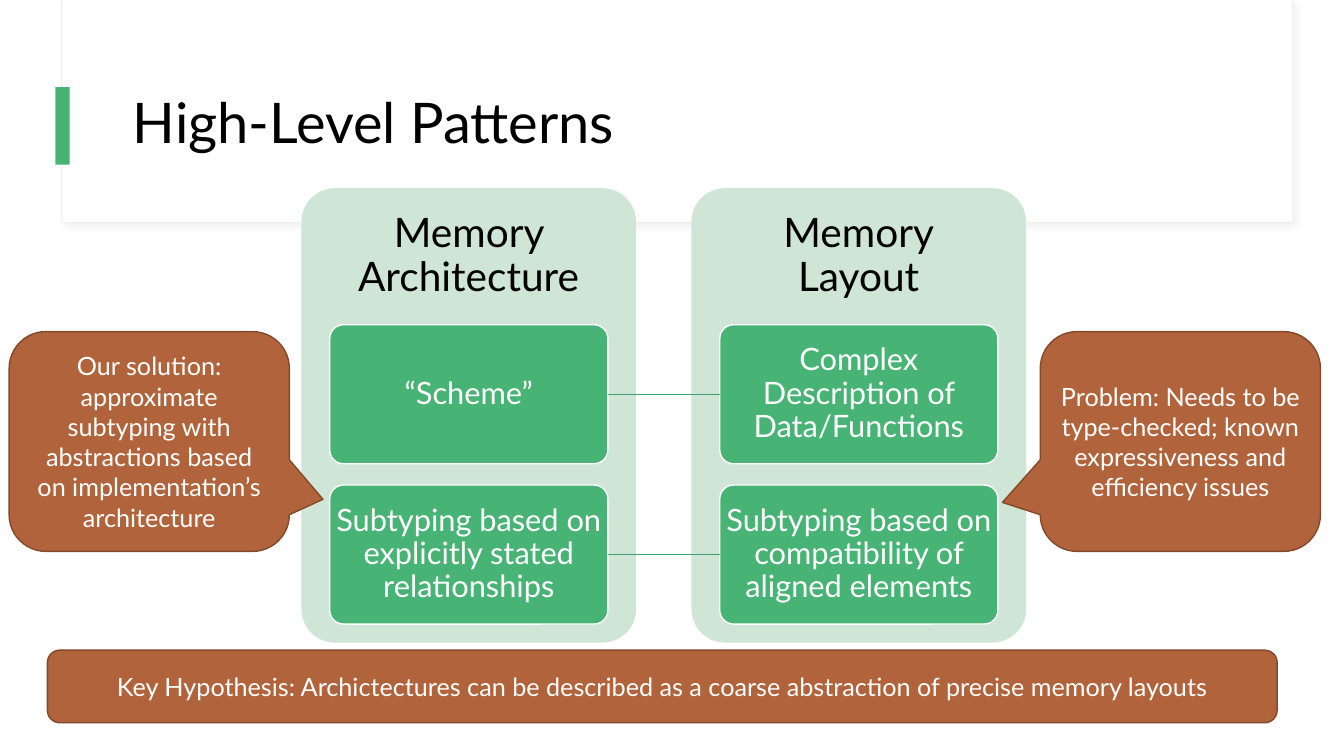
import pptx
import pptx.util
import pptx.dml.color
import pptx.enum.shapes
import pptx.enum.text
import pptx.oxml
import pptx.oxml.ns
from dataclasses import dataclass

SHAPES = pptx.enum.shapes.MSO_SHAPE
ALIGN = pptx.enum.text.PP_ALIGN


@dataclass(frozen=True)
class Theme:
    font: str = "Lato"
    white: str = "FFFFFF"
    ink: str = "000000"
    green: str = "47B475"
    link: str = "40A36A"
    pale: str = "CFE5D6"
    rust: str = "B1633B"
    rust_edge: str = "83492C"
    frame_edge: str = "F0EFE4"
    frame_shadow: str = "D9D9D9"
    title_size: float = 40
    heading_size: float = 29
    card_size: float = 22
    note_size: float = 18


def rgb(value):
    return pptx.dml.color.RGBColor.from_string(value)


class SlideBuilder:
    """Places elements by percentages of the slide's width and height."""

    def __init__(self, deck, theme):
        self.deck, self.theme = deck, theme
        self.slide = deck.slides.add_slide(deck.slide_layouts[6])

    def box(self, left, top, width, height):
        across, down = self.deck.slide_width / 100, self.deck.slide_height / 100
        return [round(v) for v in (left * across, top * down, width * across, height * down)]

    def shape(self, kind, place, fill, edge=None, edge_width=1, adjust=()):
        shape = self.slide.shapes.add_shape(kind, *self.box(*place))
        shape.shadow.inherit = False
        shape.fill.solid()
        shape.fill.fore_color.rgb = rgb(fill)
        if edge:
            shape.line.color.rgb = rgb(edge)
            shape.line.width = pptx.util.Pt(edge_width)
        else:
            shape.line.fill.background()
        for index, value in enumerate(adjust):
            shape.adjustments[index] = value
        return shape

    def label(self, shape, words, size, color, align=ALIGN.CENTER, spacing=1.0, margins=None):
        frame = shape.text_frame
        frame.word_wrap = True
        frame.vertical_anchor = pptx.enum.text.MSO_ANCHOR.MIDDLE
        if margins:
            (frame.margin_left, frame.margin_top, frame.margin_right,
             frame.margin_bottom) = map(pptx.util.Inches, margins)
        frame.text = words
        paragraph = frame.paragraphs[0]
        paragraph.alignment = align
        paragraph.line_spacing = spacing
        paragraph.font.name = self.theme.font
        paragraph.font.size = pptx.util.Pt(size)
        paragraph.font.color.rgb = rgb(color)

    def title(self, words, place):
        box = self.slide.shapes.add_textbox(*self.box(*place))
        self.label(box, words, self.theme.title_size, self.theme.ink, ALIGN.LEFT, 0.9)

    def frame(self, place):
        frame = self.shape(SHAPES.RECTANGLE, place, self.theme.white, self.theme.frame_edge, 0.75)
        effects = frame._element.spPr.find(pptx.oxml.ns.qn("a:effectLst"))
        effects.append(pptx.oxml.parse_xml(
            f'<a:outerShdw {pptx.oxml.ns.nsdecls("a")} blurRad="50800" dist="38100" dir="2700000">'
            f'<a:srgbClr val="{self.theme.frame_shadow}"><a:alpha val="30000"/></a:srgbClr>'
            '</a:outerShdw>'))

    def panel(self, heading, place):
        panel = self.shape(SHAPES.ROUNDED_RECTANGLE, place, self.theme.pale, adjust=[0.1])
        self.label(panel, heading, self.theme.heading_size, self.theme.ink,
                   spacing=0.9, margins=(0.13, 0.13, 0.13, 3.28))

    def card(self, words, place):
        card = self.shape(SHAPES.ROUNDED_RECTANGLE, place, self.theme.green,
                          self.theme.white, adjust=[0.1])
        self.label(card, words, self.theme.card_size, self.theme.white,
                   spacing=0.9, margins=(0.02,) * 4)

    def note(self, words, place, kind=SHAPES.ROUNDED_RECTANGLE, adjust=()):
        note = self.shape(kind, place, self.theme.rust, self.theme.rust_edge, adjust=adjust)
        self.label(note, words, self.theme.note_size, self.theme.white)

    def link(self, left, right, level):
        x, y, width, _ = self.box(left, level, right - left, 0)
        link = self.slide.shapes.add_connector(
            pptx.enum.shapes.MSO_CONNECTOR.STRAIGHT, x, y, x + width, y)
        link.line.color.rgb = rgb(self.theme.link)
        link.line.width = pptx.util.Pt(1)
        link._element.spPr.append(pptx.oxml.parse_xml(
            f'<a:effectLst {pptx.oxml.ns.nsdecls("a")}/>'))


deck = pptx.Presentation()
deck.slide_width = pptx.util.Inches(13.33)
deck.slide_height = pptx.util.Inches(7.5)
theme = Theme()
page = SlideBuilder(deck, theme)

# Title band
page.frame((4.58, 0, 91.58, 29.47))
page.shape(SHAPES.RECTANGLE, (4.65, 0, 91.5, 29.33), theme.white)
page.shape(SHAPES.RECTANGLE, (4.13, 11.53, 1.05, 10.27), theme.green)
page.title("High-Level Patterns", (9.15, 8, 83.4, 17.2))

# Two panels, each with a column of cards
PANEL_LEFT, PANEL_PITCH, PANEL_WIDTH = 22.43, 29.02, 24.9
CARD_INSET, CARD_WIDTH, CARD_HEIGHT = 2.1, 20.7, 18.4
CARD_TOP, CARD_PITCH = 42.95, 21.2
columns = [
    ("Memory Architecture",
     ["“Scheme”", "Subtyping based on explicitly stated relationships"]),
    ("Memory\vLayout",
     ["Complex Description of Data/Functions",
      "Subtyping based on compatibility of aligned elements"]),
]
for column, (heading, cards) in enumerate(columns):
    panel_left = PANEL_LEFT + column * PANEL_PITCH
    page.panel(heading, (panel_left, 24.9, PANEL_WIDTH, 60.1))
    for row, words in enumerate(cards):
        page.card(words, (panel_left + CARD_INSET, CARD_TOP + row * CARD_PITCH,
                          CARD_WIDTH, CARD_HEIGHT))

# Links between cards of the same row
first_card = PANEL_LEFT + CARD_INSET
for row in range(2):
    page.link(first_card + CARD_WIDTH, first_card + PANEL_PITCH,
              CARD_TOP + row * CARD_PITCH + CARD_HEIGHT / 2)

# Hypothesis and callouts
page.note("Key Hypothesis: Archictectures can be described as a coarse abstraction "
          "of precise memory layouts", (3.53, 86, 91.5, 9.6), adjust=[0.17])
callouts = [
    ("Problem: Needs to be type-checked; known expressiveness and efficiency issues",
     77.4, (-0.635, 0.277)),
    ("Our solution: approximate subtyping with abstractions based on "
     "implementation’s architecture", 0.68, (0.62, 0.263)),
]
for words, left, tip in callouts:
    page.note(words, (left, 43.87, 20.85, 29.07),
              SHAPES.ROUNDED_RECTANGULAR_CALLOUT, (*tip, 0.167))

deck.save("out.pptx")
